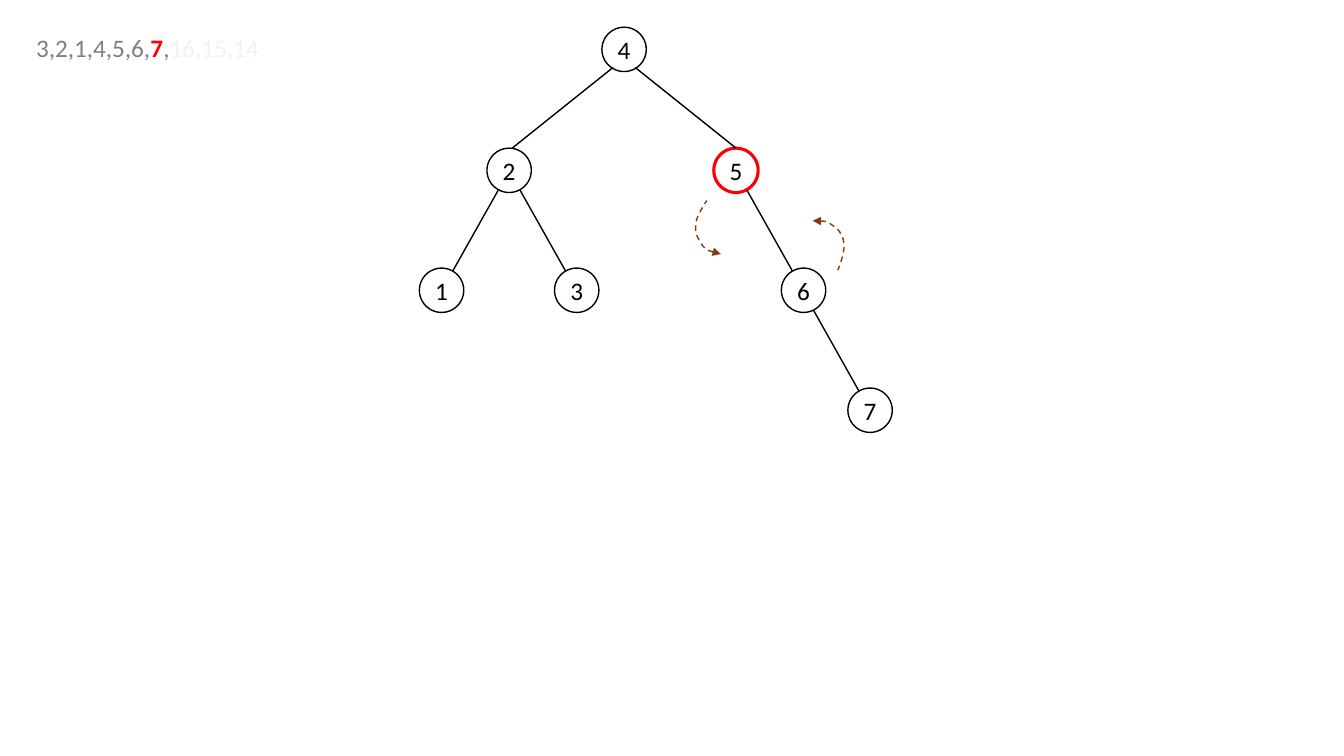
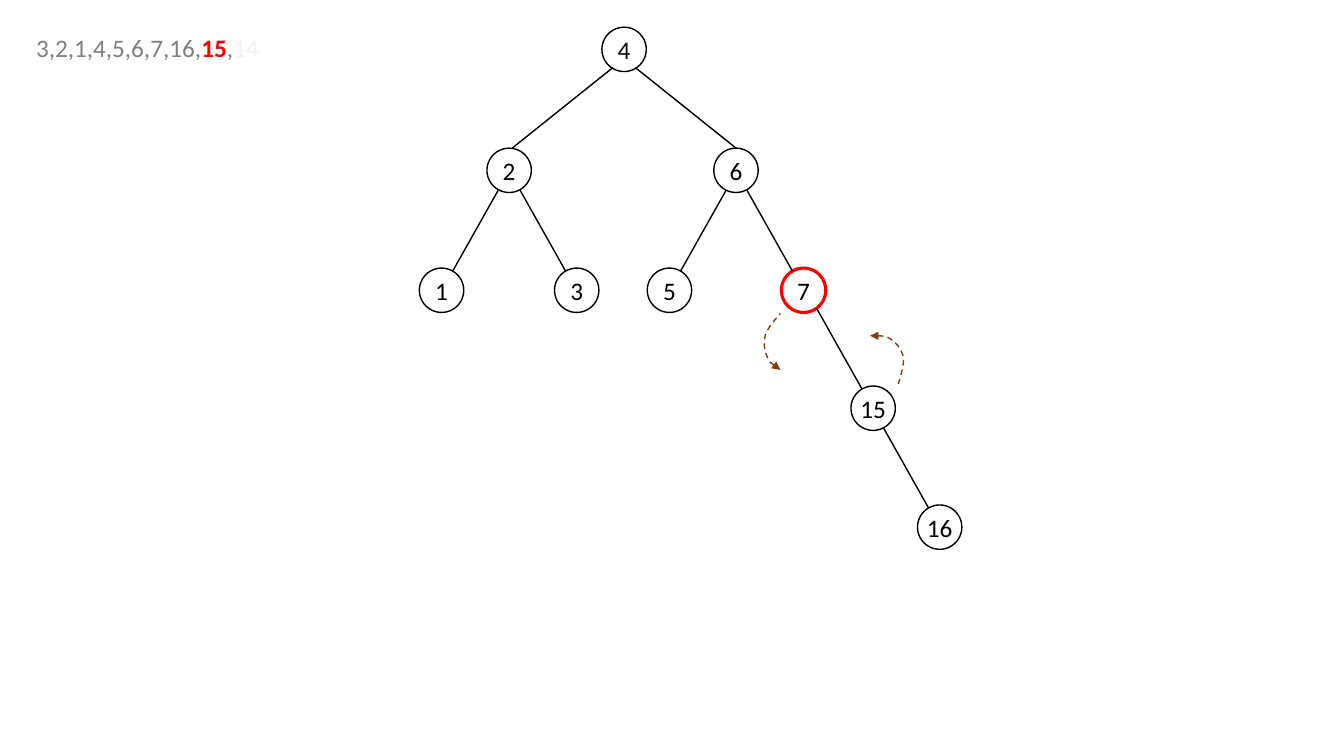
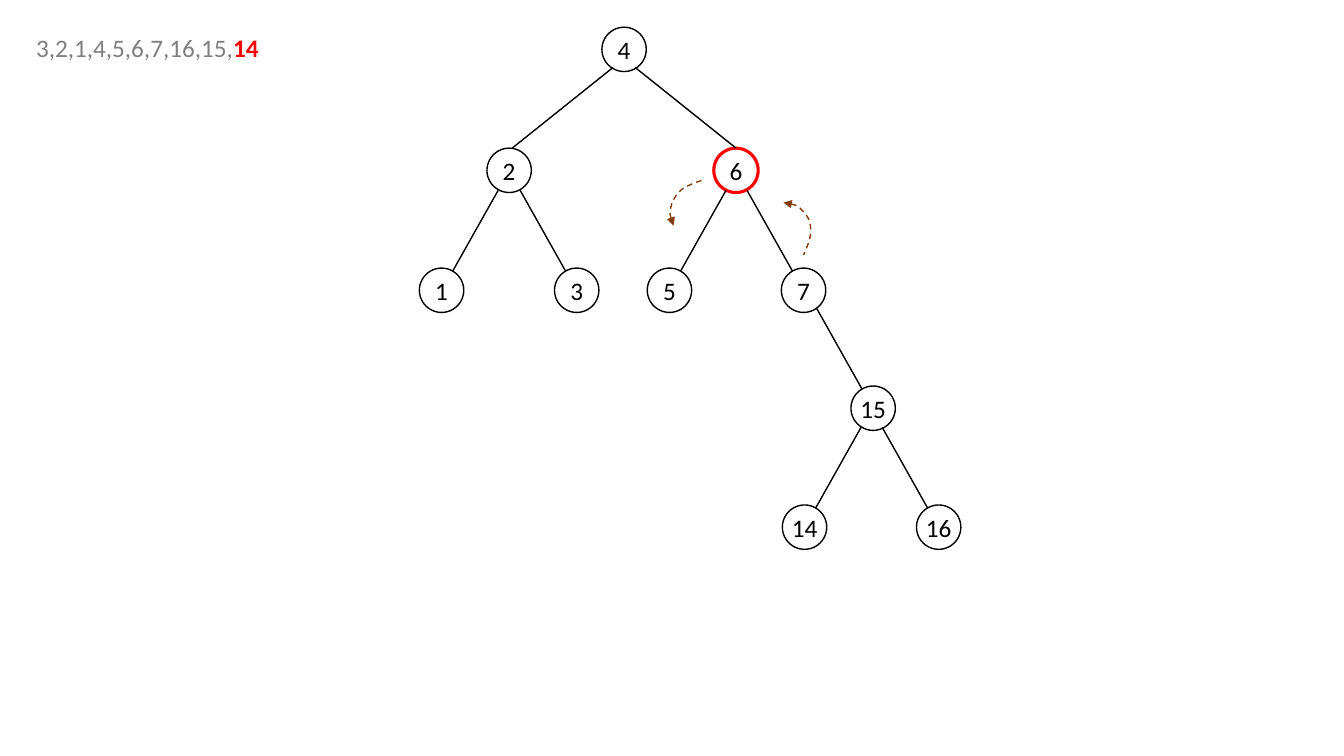
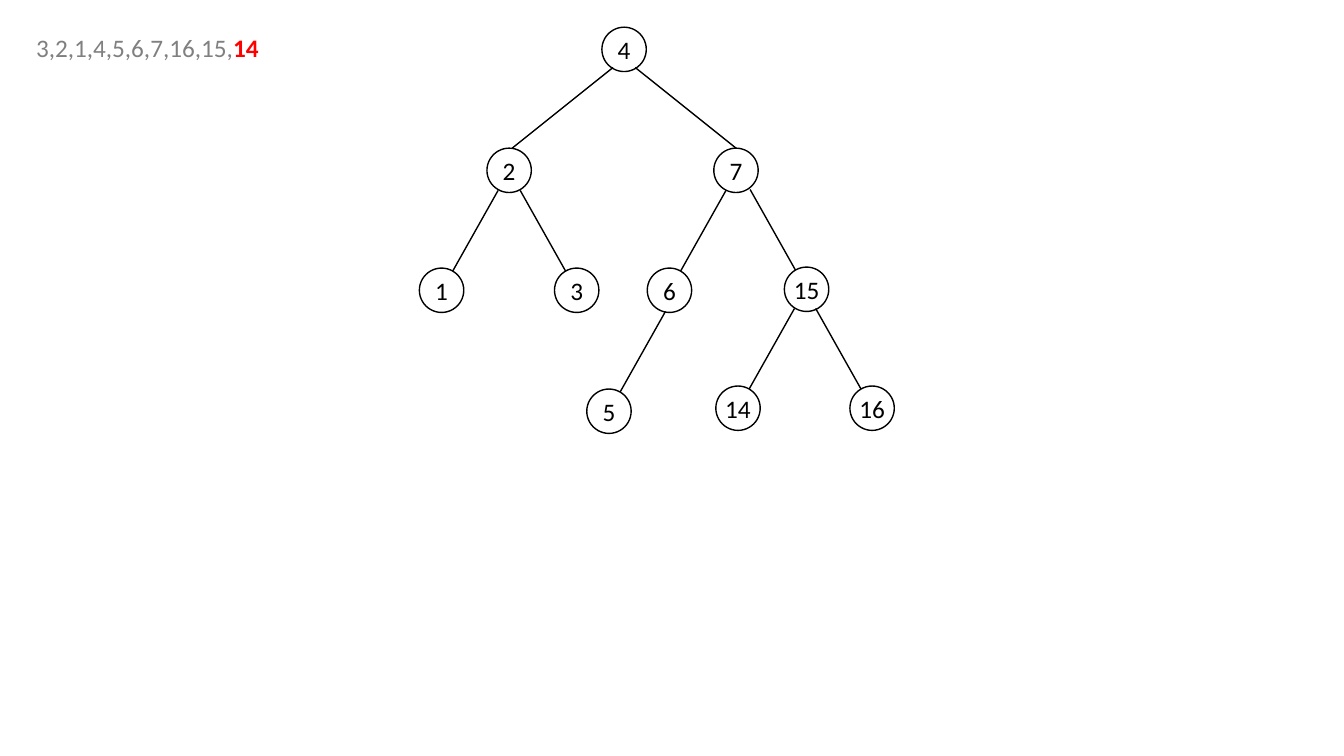
from lxml.etree import SubElement
from pptx import Presentation
from pptx.dml.color import RGBColor
from pptx.enum.dml import MSO_LINE
from pptx.enum.shapes import MSO_CONNECTOR as CONN, MSO_SHAPE as SHAPE
from pptx.enum.text import MSO_ANCHOR, MSO_AUTO_SIZE as AUTO, PP_ALIGN
from pptx.oxml.ns import qn
from pptx.util import Inches, Pt

BLACK, WHITE, RED = "000000", "FFFFFF", "FF0000"
GRAY, PALE, BROWN = "808080", "F2F2F2", "843C0B"
rgb = RGBColor.from_string


def add_run(p, text, color, bold=False):
    r = p.add_run()
    r.text = text
    for name, value in {"name": "Calibri", "size": Pt(18), "bold": bold}.items():
        setattr(r.font, name, value)
    r.font.color.rgb = rgb(color)


def outline(sp, color, width=1):
    sp.line.color.rgb = rgb(color)
    sp.line.width = Pt(width)
    SubElement(sp._element.spPr, qn("a:effectLst"))


NUMBERS = ["3", "2", "1", "4", "5", "6", "7", "16", "15", "14"]
SIZE = 0.44

EDGES = {
    "trunk left": (1.25, -0.8, 0.25, 0),
    "trunk right": (-0.78, -0.8, 0.22, 0),
    "left": (0.78, -0.77, 0.33, 0.03),
    "right": (-0.34, -0.77, 0.11, 0.03),
}

FIXED_NODES = [
    ("4", 5.97, 0.27, None),
    ("2", 4.83, 1.47, "trunk left"),
    ("3", 5.5, 2.66, "right"),
    ("1", 4.16, 2.66, "left"),
]

STEPS = [
    {
        "current": "7",
        "pivot": "5",
        "nodes": [
            ("5", 7.08, 1.47, "trunk right"),
            ("6", 7.75, 2.66, "right"),
            ("7", 8.41, 3.85, "right"),
        ],
        "arrows": [
            [(8.06, 2.19), (8.13, 2.19), (8.2, 2.19), (8.25, 2.23), (8.31, 2.26),
             (8.36, 2.33), (8.37, 2.41), (8.38, 2.48), (8.35, 2.58), (8.31, 2.68)],
            [(7.15, 2.52), (7.08, 2.5), (7.01, 2.49), (6.97, 2.44), (6.93, 2.39),
             (6.89, 2.31), (6.9, 2.24), (6.9, 2.16), (6.96, 2.07), (7.01, 1.99)],
        ],
    },
    {
        "current": "15",
        "pivot": "7",
        "nodes": [
            ("6", 7.08, 1.47, "trunk right"),
            ("7", 7.75, 2.66, "right"),
            ("5", 6.42, 2.66, "left"),
            ("15", 8.44, 3.83, "right"),
            ("16", 9.1, 5.01, "right"),
        ],
        "arrows": [
            [(8.63, 3.33), (8.7, 3.33), (8.78, 3.33), (8.83, 3.36), (8.89, 3.4),
             (8.94, 3.46), (8.96, 3.54), (8.97, 3.61), (8.94, 3.71), (8.91, 3.81)],
            [(7.74, 3.67), (7.69, 3.63), (7.63, 3.6), (7.61, 3.54), (7.58, 3.48),
             (7.57, 3.4), (7.59, 3.33), (7.61, 3.26), (7.68, 3.18), (7.74, 3.11)],
        ],
    },
    {
        "current": "14",
        "pivot": "6",
        "nodes": [
            ("6", 7.08, 1.47, "trunk right"),
            ("5", 6.42, 2.66, "left"),
            ("15", 8.44, 3.83, "right"),
            ("14", 7.76, 5.01, "left"),
            ("7", 7.75, 2.66, "right"),
            ("16", 9.09, 5.01, "right"),
        ],
        "arrows": [
            [(7.77, 2.01), (7.84, 2.02), (7.9, 2.03), (7.95, 2.08), (8, 2.12),
             (8.04, 2.19), (8.04, 2.27), (8.05, 2.34), (8.01, 2.44), (7.97, 2.53)],
            [(6.68, 2.24), (6.66, 2.19), (6.64, 2.13), (6.65, 2.07), (6.66, 2.01),
             (6.7, 1.93), (6.75, 1.89), (6.81, 1.84), (6.9, 1.81), (6.99, 1.78)],
        ],
    },
    {
        "current": "14",
        "pivot": None,
        "nodes": [
            ("7", 7.08, 1.47, "trunk right"),
            ("6", 6.42, 2.66, "left"),
            ("15", 7.78, 2.65, "right"),
            ("14", 7.1, 3.83, "left"),
            ("16", 8.43, 3.83, "right"),
            ("5", 5.82, 3.86, "left"),
        ],
        "arrows": [],
    },
]

NODE_TEXT = {
    "margin_left": 0, "margin_right": 0, "margin_top": 0, "margin_bottom": 0,
    "word_wrap": False, "vertical_anchor": MSO_ANCHOR.MIDDLE,
}

prs = Presentation()
prs.slide_width, prs.slide_height = Inches(13.33), Inches(7.5)

for step in STEPS:
    s = prs.slides.add_slide(prs.slide_layouts[6])

    for label, x, y, edge in FIXED_NODES + step["nodes"]:
        grouped = edge in ("left", "right")
        shapes = s.shapes.add_group_shape().shapes if grouped else s.shapes
        sp = shapes.add_shape(SHAPE.OVAL, Inches(x), Inches(y), Inches(SIZE), Inches(SIZE))
        sp.fill.solid()
        sp.fill.fore_color.rgb = rgb(WHITE)
        if label == step["pivot"]:
            outline(sp, RED, 2.25)
        else:
            outline(sp, BLACK)
        tf = sp.text_frame
        for name, value in NODE_TEXT.items():
            setattr(tf, name, value)
        p = tf.paragraphs[0]
        p.alignment = PP_ALIGN.CENTER
        add_run(p, label, BLACK)
        if edge:
            x1, y1, x2, y2 = EDGES[edge]
            line = shapes.add_connector(CONN.STRAIGHT, Inches(x + x1), Inches(y + y1),
                                        Inches(x + x2), Inches(y + y2))
            outline(line, BLACK)

    tf = s.shapes.add_textbox(Inches(0.26), Inches(0.27), Inches(2.53), Inches(0.4)).text_frame
    tf.word_wrap = True
    tf.auto_size = AUTO.SHAPE_TO_FIT_TEXT
    p = tf.paragraphs[0]
    i = NUMBERS.index(step["current"])
    add_run(p, ",".join(NUMBERS[:i]) + ",", GRAY)
    add_run(p, NUMBERS[i], RED, True)
    if NUMBERS[i + 1:]:
        add_run(p, ",", GRAY)
        add_run(p, ",".join(NUMBERS[i + 1:]), PALE)

    for points in step["arrows"]:
        start, *rest = [(Inches(x), Inches(y)) for x, y in points]
        builder = s.shapes.build_freeform(*start)
        builder.add_line_segments(rest, close=False)
        sp = builder.convert_to_shape()
        sp.fill.background()
        outline(sp, BROWN)
        sp.line.dash_style = MSO_LINE.DASH
        SubElement(sp.line._ln, qn("a:headEnd"), type="triangle")
        outline_path = next(sp._element.iter(qn("a:path")))
        segments = outline_path.findall(qn("a:lnTo"))
        for k in range(0, len(segments), 3):
            curve = SubElement(outline_path, qn("a:cubicBezTo"))
            for segment in segments[k:k + 3]:
                curve.append(segment[0])
                outline_path.remove(segment)

prs.save("out.pptx")
